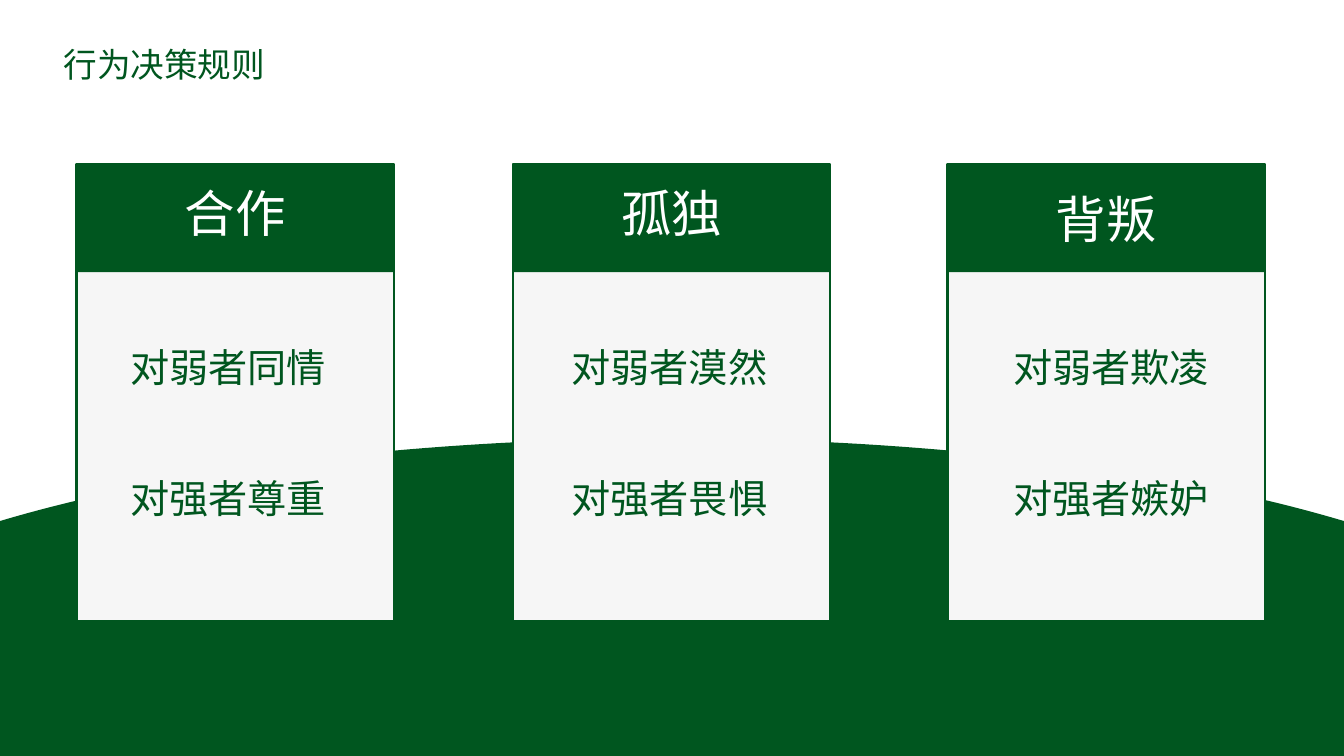
from pptx import Presentation
from pptx.dml.color import RGBColor
from pptx.enum.shapes import MSO_SHAPE
from pptx.enum.text import MSO_AUTO_SIZE, PP_ALIGN
from pptx.oxml.ns import qn
from pptx.util import Cm, Pt
from lxml.etree import SubElement

GREEN = "00561F"
PALE = "F6F6F6"
WHITE = "FFFFFF"
FONT = "Noto Sans CJK SC"


def paint(shape, fill, line=None):
    shape.shadow.inherit = False
    shape.fill.solid()
    shape.fill.fore_color.rgb = RGBColor.from_string(fill)
    if line:
        shape.line.color.rgb = RGBColor.from_string(line)
        shape.line.width = Pt(1.5)
    else:
        shape.line.fill.background()


def add_text(lines, left, top, width, height, size, color=GREEN, align=PP_ALIGN.LEFT, gap=0):
    box = slide.shapes.add_textbox(Cm(left), Cm(top), Cm(width), Cm(height))
    frame = box.text_frame
    frame.word_wrap = True
    frame.auto_size = MSO_AUTO_SIZE.SHAPE_TO_FIT_TEXT
    frame.margin_left = frame.margin_right = Cm(0.13)
    frame.margin_top = frame.margin_bottom = Cm(0.13)
    for index, line in enumerate(lines):
        paragraph = frame.add_paragraph() if index else frame.paragraphs[0]
        paragraph.alignment = align
        if index:
            paragraph.space_before = Pt(gap)
        run = paragraph.add_run()
        run.text = line
        run.font.size = Pt(size)
        run.font.name = FONT
        run.font.color.rgb = RGBColor.from_string(color)
        SubElement(run.font._element, qn("a:ea"), typeface=FONT)


presentation = Presentation()
presentation.slide_width = Cm(33.87)
presentation.slide_height = Cm(19.05)
slide = presentation.slides.add_slide(presentation.slide_layouts[6])

hill_curve = [(0, 13.13), (4.34, 11.84), (10.31, 11.05), (16.935, 11.05)]
steps = 40
left_slope = []
for step in range(steps + 1):
    t = step / steps
    weights = [(1 - t) ** 3, 3 * t * (1 - t) ** 2, 3 * t ** 2 * (1 - t), t ** 3]
    left_slope.append([sum(w * point[axis] for w, point in zip(weights, hill_curve)) for axis in (0, 1)])
right_slope = [(33.87 - x, y) for x, y in reversed(left_slope[:-1])]
outline = [(Cm(x), Cm(y)) for x, y in left_slope + right_slope + [(33.87, 19.05), (0, 19.05)]]
builder = slide.shapes.build_freeform(*outline[0])
builder.add_line_segments(outline[1:], close=True)
paint(builder.convert_to_shape(), GREEN)

add_text(["行为决策规则"], 1.47, 0.97, 8.23, 1.42, 24)

cards = [
    ("合作", 1.93, 4.47, ["对弱者同情", "对强者尊重"]),
    ("孤独", 12.93, 4.47, ["对弱者漠然", "对强者畏惧"]),
    ("背叛", 23.88, 4.6, ["对弱者欺凌", "对强者嫉妒"]),
]
for index, (heading, left, heading_top, rules) in enumerate(cards):
    card = slide.shapes.add_group_shape()
    for height, fill, line in [(11.51, PALE, GREEN), (2.72, GREEN, None)]:
        panel = card.shapes.add_shape(MSO_SHAPE.RECTANGLE, Cm(left), Cm(4.14), Cm(8), Cm(height))
        paint(panel, fill, line)
    add_text([heading], left + 1.32, heading_top, 5.36, 2, 36, color=WHITE, align=PP_ALIGN.CENTER)
    add_text(rules, 3.15 + 11.125 * index, 8.53, 5.56, 5.49, 28, gap=60)

presentation.save("out.pptx")
